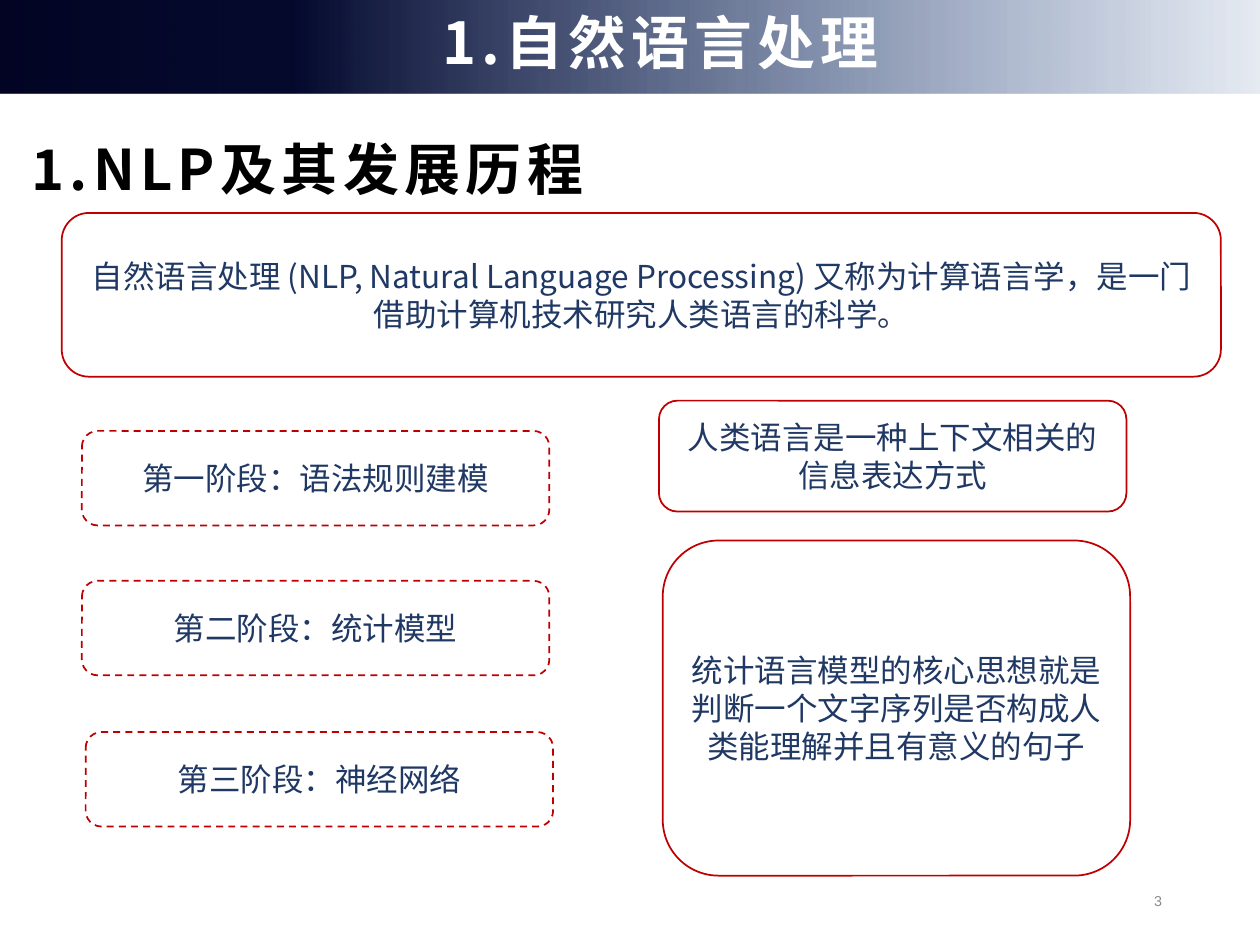
from lxml import etree
from pptx import Presentation
from pptx.dml.color import RGBColor
from pptx.enum.dml import MSO_LINE
from pptx.enum.shapes import MSO_SHAPE
from pptx.enum.text import MSO_ANCHOR, PP_ALIGN
from pptx.oxml import parse_xml
from pptx.oxml.ns import qn
from pptx.util import Inches, Pt

RECTANGLE, ROUNDED = MSO_SHAPE.RECTANGLE, MSO_SHAPE.ROUNDED_RECTANGLE
DASH, SOLID = MSO_LINE.DASH, MSO_LINE.SOLID
TOP, MIDDLE = MSO_ANCHOR.TOP, MSO_ANCHOR.MIDDLE
LEFT, CENTER, RIGHT = PP_ALIGN.LEFT, PP_ALIGN.CENTER, PP_ALIGN.RIGHT
CJK_FONT = "Noto Sans CJK SC"
DRAWING_NS = "http://schemas.openxmlformats.org/drawingml/2006/main"


def color(hex_value):
    return RGBColor.from_string(hex_value)


def write(box, text, size, hex_color, align=CENTER, anchor=MIDDLE,
          font=CJK_FONT, bold=False, tracking=0, line_spacing=1.0):
    """Fill a shape with one paragraph; tracking is letter spacing in points."""
    frame = box.text_frame
    frame.word_wrap = True
    frame.vertical_anchor = anchor
    para = frame.paragraphs[0]
    para.alignment = align
    para.line_spacing = line_spacing
    span = para.add_run()
    span.text = text
    for name, value in {"name": font, "size": Pt(size), "bold": bold}.items():
        setattr(span.font, name, value)
    span.font.color.rgb = color(hex_color)
    properties = span.font._element
    etree.SubElement(properties, qn("a:ea"), typeface=font)
    if tracking:
        properties.set("spc", str(tracking * 100))


deck = Presentation()
deck.slide_width, deck.slide_height = Inches(10), Inches(7.5)
page = deck.slides.add_slide(deck.slide_layouts[6])
shapes = page.shapes

# Header band, fading to the right
band = shapes.add_shape(RECTANGLE, 0, 0, Inches(10), Inches(0.74))
band.shadow.inherit = False
band.line.fill.background()
band.fill.background()
no_fill = band._element.spPr.find(qn("a:noFill"))
no_fill.getparent().replace(no_fill, parse_xml(
    f'<a:gradFill xmlns:a="{DRAWING_NS}" rotWithShape="1"><a:gsLst>'
    '<a:gs pos="0"><a:srgbClr val="030424"/></a:gs>'
    '<a:gs pos="23000"><a:srgbClr val="050A2D"/></a:gs>'
    '<a:gs pos="100000"><a:srgbClr val="164086"><a:alpha val="10000"/></a:srgbClr></a:gs>'
    '</a:gsLst><a:lin ang="0" scaled="0"/></a:gradFill>'))

# Page number, title and section heading
number = shapes.add_textbox(Inches(7.07), Inches(6.95), Inches(2.25), Inches(0.4))
write(number, "3", 8.2, "8C8C8C", align=RIGHT, font="Arial")

title = shapes.add_textbox(Inches(0.93), Inches(0.05), Inches(8.62), Inches(0.62))
write(title, "1.自然语言处理", 33, "FFFFFF", bold=True, tracking=3, line_spacing=0.9)

heading = shapes.add_textbox(Inches(0.15), Inches(0.87), Inches(9.71), Inches(5.98))
write(heading, "1.NLP及其发展历程", 32, "000000", align=LEFT, anchor=TOP,
      bold=True, tracking=3, line_spacing=1.2)
heading.text_frame.margin_top = Inches(0.09)

# Definition, three stages, and remarks on the right
CARD_WIDTH, STAGE_HEIGHT = 3.71, 0.75
cards = [
    (0.49, 1.69, 9.2, 1.3, SOLID,
     "自然语言处理 (NLP, Natural Language Processing) 又称为计算语言学，是一门借助计算机技术研究人类语言的科学。"),
    (0.65, 3.42, CARD_WIDTH, STAGE_HEIGHT, DASH, "第一阶段：语法规则建模"),
    (0.65, 4.61, CARD_WIDTH, STAGE_HEIGHT, DASH, "第二阶段：统计模型"),
    (0.68, 5.81, CARD_WIDTH, STAGE_HEIGHT, DASH, "第三阶段：神经网络"),
    (5.23, 3.18, CARD_WIDTH, 0.88, SOLID, "人类语言是一种上下文相关的信息表达方式"),
    (5.26, 4.29, CARD_WIDTH, 2.66, SOLID,
     "统计语言模型的核心思想就是判断一个文字序列是否构成人类能理解并且有意义的句子"),
]
for left, top, width, height, dash, text in cards:
    card = shapes.add_shape(ROUNDED, Inches(left), Inches(top), Inches(width), Inches(height))
    card.shadow.inherit = False
    card.fill.background()
    card.line.color.rgb = color("C00000")
    card.line.width = Pt(1)
    card.line.dash_style = dash
    write(card, text, 18, "203864")

deck.save("out.pptx")
